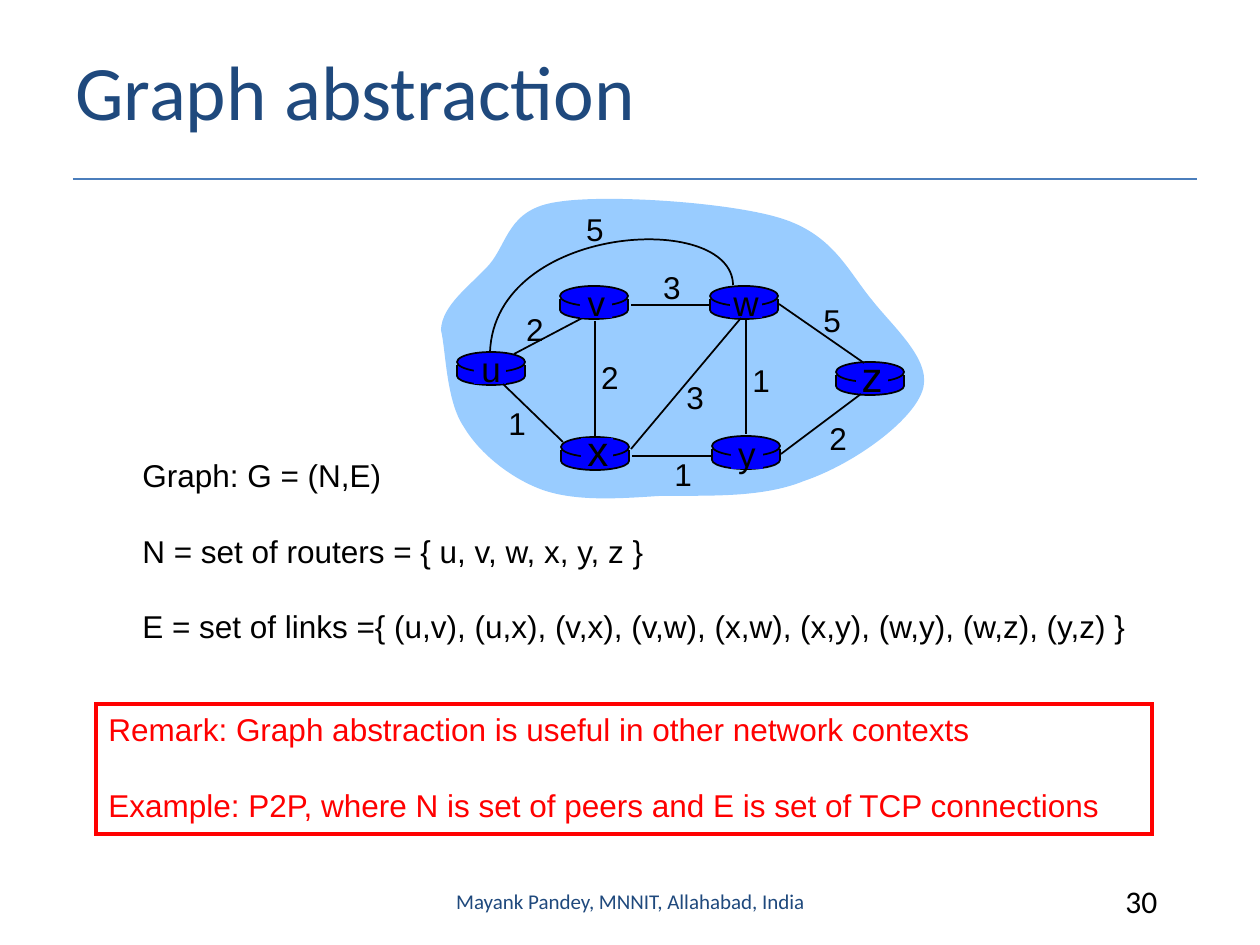
"""Build the "Graph abstraction" slide with its weighted router graph."""
import pptx
import pptx.dml.color
import pptx.enum.shapes
import pptx.enum.text
import pptx.oxml.ns
import pptx.util
from lxml import etree

PX = 914400 / 126
BLACK = pptx.dml.color.RGBColor(0x00, 0x00, 0x00)
BLUE = pptx.dml.color.RGBColor(0x00, 0x00, 0xFF)
CLOUD_BLUE = pptx.dml.color.RGBColor(0x99, 0xCC, 0xFF)
NAVY = pptx.dml.color.RGBColor(0x1F, 0x49, 0x7D)
RULE_BLUE = pptx.dml.color.RGBColor(0x4B, 0x7E, 0xBC)
RED = pptx.dml.color.RGBColor(0xFF, 0x00, 0x00)
LEFT = pptx.enum.text.PP_ALIGN.LEFT
CENTER = pptx.enum.text.PP_ALIGN.CENTER
TOP = pptx.enum.text.MSO_ANCHOR.TOP
MIDDLE = pptx.enum.text.MSO_ANCHOR.MIDDLE
GROW = pptx.enum.text.MSO_AUTO_SIZE.SHAPE_TO_FIT_TEXT
OVAL = pptx.enum.shapes.MSO_SHAPE.OVAL
RECTANGLE = pptx.enum.shapes.MSO_SHAPE.RECTANGLE
STRAIGHT = pptx.enum.shapes.MSO_CONNECTOR.STRAIGHT

presentation = pptx.Presentation()
presentation.slide_width = pptx.util.Inches(10)
presentation.slide_height = pptx.util.Inches(7.5)
slide = presentation.slides.add_slide(presentation.slide_layouts[6])


def add_line(x1, y1, x2, y2, color=BLACK, width=1):
    ends = [round(value * PX) for value in (x1, y1, x2, y2)]
    connector = slide.shapes.add_connector(STRAIGHT, *ends)
    connector.line.color.rgb = color
    connector.line.width = pptx.util.Pt(width)
    properties = connector._element.spPr
    etree.SubElement(properties, pptx.oxml.ns.qn("a:effectLst"))


def add_text(box, lines, size, color=BLACK, font="Arial", align=LEFT, anchor=TOP, wrap=True):
    shape = slide.shapes.add_textbox(*[round(value * PX) for value in box])
    frame = shape.text_frame
    frame.word_wrap = wrap
    if not wrap:
        frame.auto_size = GROW
    frame.vertical_anchor = anchor
    frame.text = "\n".join(lines)
    for index, paragraph in enumerate(frame.paragraphs):
        paragraph.alignment = align
        if index:
            paragraph.space_before = pptx.util.Pt(21.5)
        paragraph.font.name = font
        paragraph.font.size = pptx.util.Pt(size)
        paragraph.font.color.rgb = color
    return shape


add_line(73, 179, 1197, 179, RULE_BLUE, 0.75)
add_text((1113, 876, 84, 50), ["30"], 18, font="Calibri")

cloud = [
    (441, 330), (442, 305), (470, 286), (489, 265), (508, 243), (508, 209), (557, 202),
    (605, 194), (728, 202), (780, 218), (833, 234), (848, 271), (872, 300),
    (895, 329), (934, 362), (922, 392), (911, 422), (854, 464), (804, 481),
    (760, 499), (702, 495), (658, 496), (615, 499), (575, 501), (543, 490),
    (512, 479), (480, 454), (464, 427), (446, 401), (446, 350), (441, 330),
]
link_u_w = [(733, 285), (732, 210), (495, 224), (490, 352)]
curves = []
for curve, closed in ((cloud, True), (link_u_w, False)):
    builder = slide.shapes.build_freeform(*curve[0], scale=PX)
    builder.add_line_segments(curve[1:], close=closed)
    shape = builder.convert_to_shape()
    shape.shadow.inherit = False
    segments = list(shape._element.iter(pptx.oxml.ns.qn("a:lnTo")))
    for start in range(0, len(segments), 3):
        bezier = etree.Element(pptx.oxml.ns.qn("a:cubicBezTo"))
        segments[start].addprevious(bezier)
        for segment in segments[start:start + 3]:
            bezier.append(segment[0])
            segment.getparent().remove(segment)
    curves.append(shape)

cloud_shape, curved_link = curves
cloud_shape.fill.solid()
cloud_shape.fill.fore_color.rgb = CLOUD_BLUE
cloud_shape.line.fill.background()
curved_link.fill.background()
curved_link.line.color.rgb = BLACK
curved_link.line.width = pptx.util.Pt(1)

add_line(514, 354, 590, 314)

parts = [(OVAL, 0, 15, 68, 18, True), (RECTANGLE, 0, 13, 68, 11, False), (OVAL, 0, 0, 68, 20, True)]
routers = [(457, 352), (561, 437), (560, 286), (710, 286), (712, 436), (836, 362)]
pieces = [
    (kind, left + dx, top + dy, width, height, outlined)
    for left, top in routers
    for kind, dx, dy, width, height, outlined in parts
]
label_backs = [(474, 355), (731, 440), (581, 438), (730, 289), (580, 289), (856, 364)]
pieces += [(RECTANGLE, left, top, 32, 29, False) for left, top in label_backs]
for kind, *box, outlined in pieces:
    shape = slide.shapes.add_shape(kind, *[round(value * PX) for value in box])
    shape.shadow.inherit = False
    shape.fill.solid()
    shape.fill.fore_color.rgb = BLUE
    if outlined:
        shape.line.color.rgb = BLACK
        shape.line.width = pptx.util.Pt(1)
    else:
        shape.line.fill.background()
for left, top in routers:
    for side in (left, left + 68):
        add_line(side, top + 13, side, top + 24)

links = [
    (746, 320, 746, 434), (595, 321, 595, 438), (631, 449, 741, 318), (781, 454, 861, 394),
    (712, 456, 632, 456), (563, 442, 503, 384), (711, 305, 631, 305), (864, 363, 779, 304),
]
for link in links:
    add_line(*link)

labels = [
    ("u", 469, 341, 44, 20), ("y", 725, 426, 44, 20), ("x", 573, 418, 50, 24),
    ("w", 721, 275, 49, 20), ("v", 575, 275, 43, 20), ("z", 848, 344, 48, 24),
    ("2", 513, 304, 44, 18), ("2", 588, 352, 44, 18), ("1", 496, 398, 39, 18),
    ("3", 673, 372, 44, 18), ("1", 662, 449, 39, 18), ("1", 740, 355, 39, 18),
    ("2", 816, 413, 44, 18), ("5", 810, 295, 44, 18), ("3", 650, 262, 44, 18),
    ("5", 573, 204, 44, 18),
]
heights = {18: 50, 20: 54, 24: 63}
for text, left, top, width, size in labels:
    add_text((left, top, width, heights[size]), [text], size, align=CENTER, wrap=False)

definitions = [
    "Graph: G = (N,E)",
    "N = set of routers = { u, v, w, x, y, z }",
    "E = set of links ={ (u,v), (u,x), (v,x), (v,w), (x,w), (x,y), (w,y), (w,z), (y,z) }",
]
add_text((130, 450, 1019, 202), definitions, 18, wrap=False)
add_text((63, 22, 1134, 136), ["Graph abstraction"], 44, NAVY, "Calibri", anchor=MIDDLE)

remarks = [
    "Remark: Graph abstraction is useful in other network contexts",
    "Example: P2P, where N is set of peers and E is set of TCP connections",
]
remark_box = add_text((96, 704, 1056, 130), remarks, 18, RED, wrap=False)
remark_box.line.color.rgb = RED
remark_box.line.width = pptx.util.Pt(2.25)
etree.SubElement(remark_box.line._ln, pptx.oxml.ns.qn("a:miter"), lim="800000")

footer = ["Mayank Pandey, MNNIT, Allahabad, India"]
add_text((431, 876, 399, 50), footer, 12, NAVY, "Calibri", CENTER, MIDDLE)

presentation.save("out.pptx")
